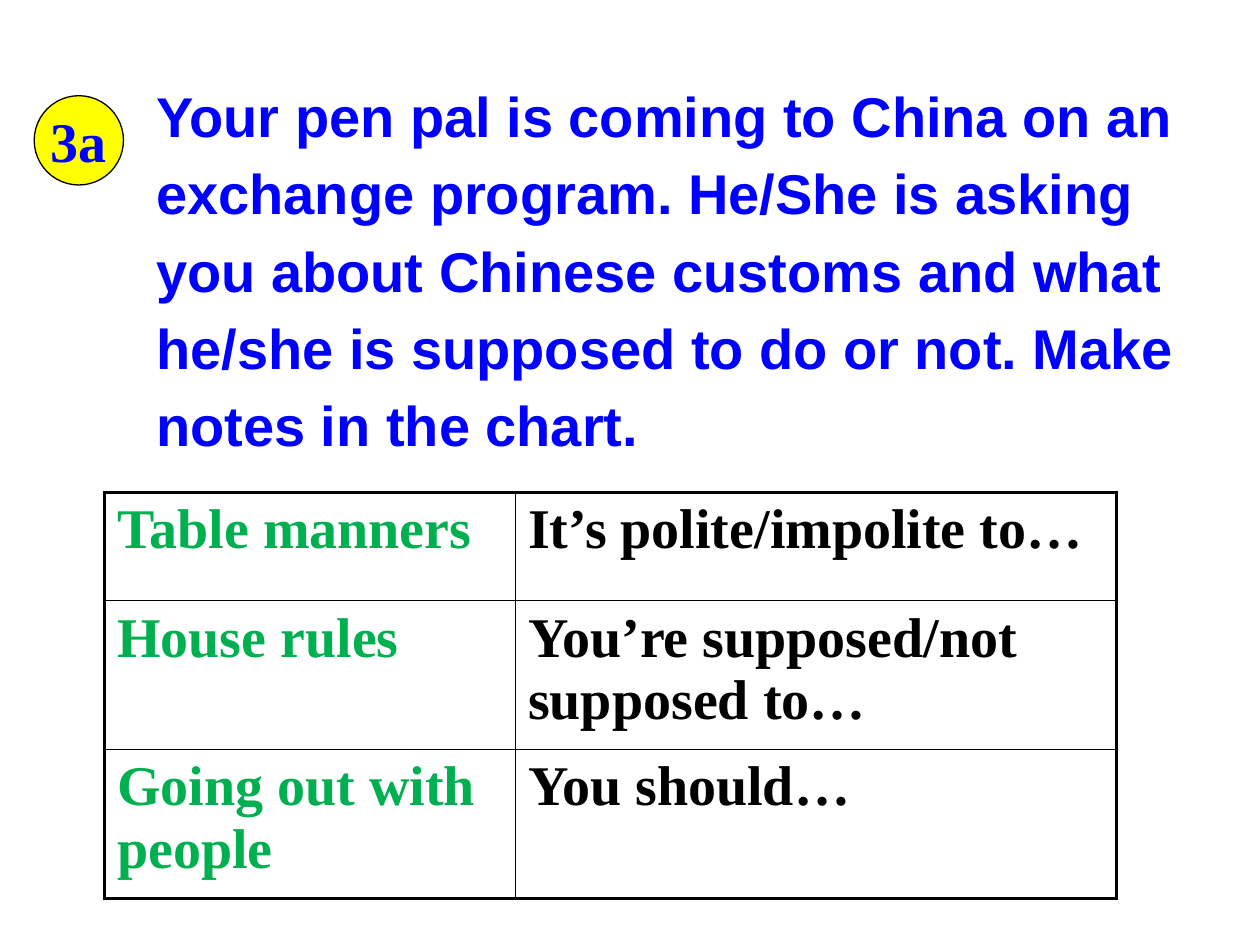
from lxml.etree import SubElement
from pptx import Presentation
from pptx.dml.color import RGBColor
from pptx.enum.shapes import MSO_SHAPE as Shape
from pptx.enum.text import MSO_ANCHOR as Anchor, MSO_AUTO_SIZE as AutoSize, PP_ALIGN as Align
from pptx.oxml.ns import qn
from pptx.util import Cm, Pt

BLUE = RGBColor(0x00, 0x00, 0xFF)
GREEN = RGBColor(0x00, 0xB0, 0x50)
YELLOW = RGBColor(0xFF, 0xFF, 0x00)
BLACK = RGBColor(0x00, 0x00, 0x00)

TASK = ("Your pen pal is coming to China on an exchange program. "
        "He/She is asking you about Chinese customs and what he/she is "
        "supposed to do or not. Make notes in the chart.")
NOTES = [
    ("Table manners", "It’s polite/impolite to…"),
    ("House rules", "You’re supposed/not supposed to…"),
    ("Going out with people", "You should…"),
]
COLUMN_WIDTHS = [8.28, 12.12]
ROW_HEIGHTS = [2.18, 3, 3]


class SlideBuilder:
    text_format = {"size": Pt(32), "bold": True}
    serif = "Times New Roman"
    sans = "Arial"
    outer_border = Pt(2.25)
    inner_border = Pt(1)

    def __init__(self, slide):
        self.slide = slide

    def fill_frame(self, frame, text, color, font_name):
        """Put the text in the frame's first paragraph and return that paragraph."""
        paragraph = frame.paragraphs[0]
        run = paragraph.add_run()
        run.text = text
        for name, value in {**self.text_format, "name": font_name}.items():
            setattr(run.font, name, value)
        run.font.color.rgb = color
        return paragraph

    def add_text(self, text, left, top, width, height):
        box = self.slide.shapes.add_textbox(Cm(left), Cm(top), Cm(width), Cm(height))
        frame = box.text_frame
        frame.word_wrap = True
        frame.auto_size = AutoSize.SHAPE_TO_FIT_TEXT
        self.fill_frame(frame, text, BLUE, self.sans).line_spacing = 1.15

    def add_badge(self, text, left, top, diameter):
        badge = self.slide.shapes.add_shape(
            Shape.OVAL, Cm(left), Cm(top), Cm(diameter), Cm(diameter))
        badge.shadow.inherit = False
        badge.fill.solid()
        badge.fill.fore_color.rgb = YELLOW
        badge.line.color.rgb = BLACK
        badge.line.width = Pt(0.75)
        frame = badge.text_frame
        frame.word_wrap = False
        frame.vertical_anchor = Anchor.MIDDLE
        self.fill_frame(frame, text, BLUE, self.serif).alignment = Align.CENTER

    def add_border(self, cell, side, is_outer):
        width = self.outer_border if is_outer else self.inner_border
        properties = cell._tc.get_or_add_tcPr()
        line = SubElement(properties, qn(f"a:ln{side}"), w=str(width))
        fill = SubElement(line, qn("a:solidFill"))
        SubElement(fill, qn("a:srgbClr"), val=str(BLACK))

    def add_table(self, rows, left, top, column_widths, row_heights):
        last_row, last_column = len(row_heights) - 1, len(column_widths) - 1
        table = self.slide.shapes.add_table(
            len(row_heights), len(column_widths), Cm(left), Cm(top),
            Cm(sum(column_widths)), Cm(sum(row_heights))).table
        table.first_row = table.horz_banding = False
        for column, width in zip(table.columns, column_widths):
            column.width = Cm(width)
        for row, height in zip(table.rows, row_heights):
            row.height = Cm(height)
        for i, texts in enumerate(rows):
            for j, text in enumerate(texts):
                cell = table.cell(i, j)
                self.fill_frame(cell.text_frame, text, BLACK if j else GREEN, self.serif)
                outer_sides = {"L": j == 0, "R": j == last_column,
                               "T": i == 0, "B": i == last_row}
                for side, is_outer in outer_sides.items():
                    self.add_border(cell, side, is_outer)
                cell.fill.background()


def main():
    presentation = Presentation()
    presentation.slide_width, presentation.slide_height = Cm(25.4), Cm(19.05)
    builder = SlideBuilder(presentation.slides.add_slide(presentation.slide_layouts[6]))
    builder.add_table(NOTES, 2.11, 9.93, COLUMN_WIDTHS, ROW_HEIGHTS)
    builder.add_text(TASK, 2.9, 1.32, 21.3, 7.7)
    builder.add_badge("3a", 0.69, 1.93, 1.8)
    presentation.save("out.pptx")


if __name__ == "__main__":
    main()
